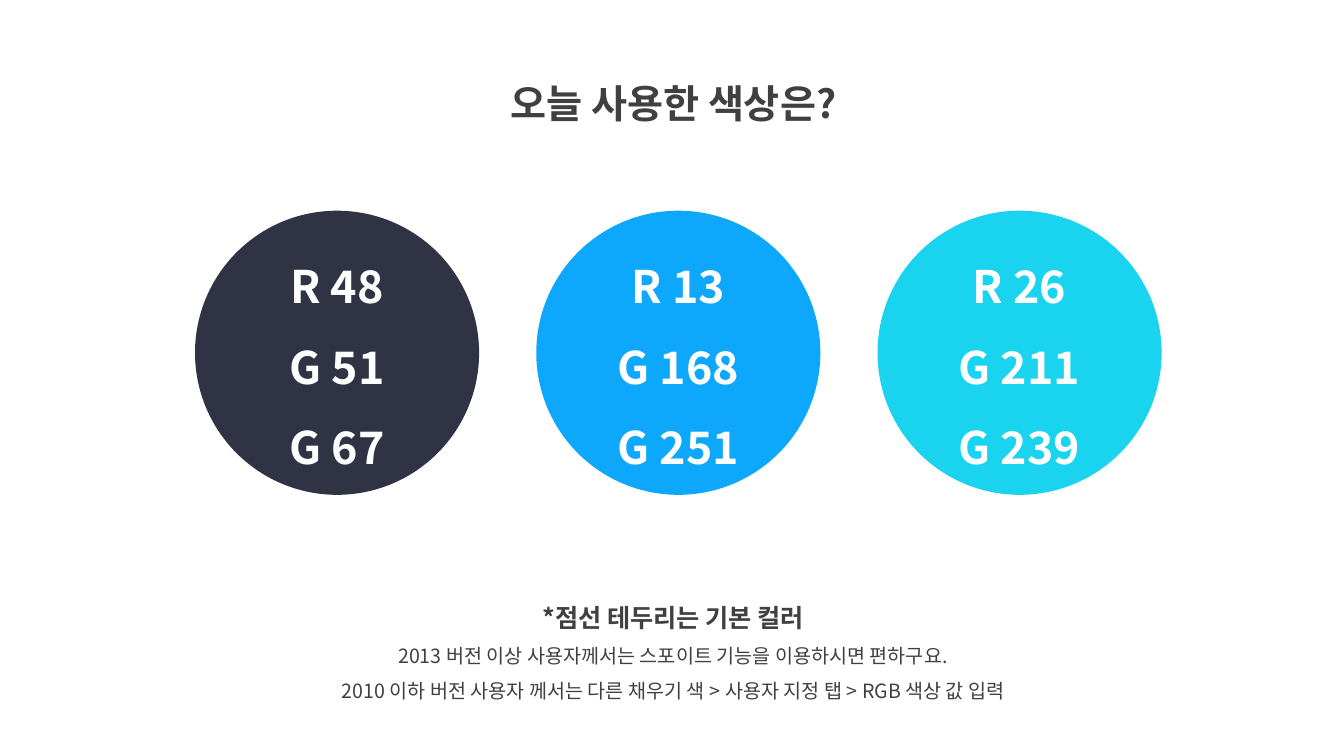
"""Builds a slide that shows the three colours used today."""
from lxml.etree import SubElement
from pptx import Presentation
from pptx.dml.color import RGBColor as Rgb
from pptx.enum.shapes import MSO_SHAPE as Kind
from pptx.enum.text import MSO_ANCHOR as Anchor, PP_ALIGN as Align
from pptx.oxml.ns import qn
from pptx.util import Cm, Pt

TITLE = ["오늘 사용한 색상은?"]
NOTES = [
    "*점선 테두리는 기본 컬러",
    "2013 버전 이상 사용자께서는 스포이트 기능을 이용하시면 편하구요.",
    "2010 이하 버전 사용자 께서는 다른 채우기 색 > 사용자 지정 탭 > RGB 색상 값 입력",
]
COLORS = [(48, 51, 67), (13, 168, 251), (26, 211, 239)]
LABELS = "RGG"

THEME = {
    "face": "Noto Sans CJK KR",
    "ink": Rgb(64, 64, 64),
    "white": Rgb(255, 255, 255),
    "title": {"size": Pt(28), "bold": True},
    "head": {"size": Pt(18), "bold": True},
    "body": {"size": Pt(14), "bold": False},
    "value": {"size": Pt(32), "bold": True},
}
WIDTH, HEIGHT = 33.87, 19.05
SIZE, STEP, TOP = 7.16, 8.6, 5.31
SHIFT = 0.03


def write(frame, lines, styles, color):
    frame.word_wrap = True
    for i, (line, style) in enumerate(zip(lines, styles)):
        para = frame.paragraphs[0] if i == 0 else frame.add_paragraph()
        para.alignment, para.line_spacing = Align.CENTER, 1.5
        run = para.add_run()
        run.text = line
        run.font.color.rgb = color
        for key, value in {"name": THEME["face"], **THEME[style]}.items():
            setattr(run.font, key, value)
        SubElement(run.font._element, qn("a:ea"), typeface=THEME["face"])


def add_text(slide, top, width, height, lines, styles):
    left = (WIDTH - width) / 2 + SHIFT
    box = slide.shapes.add_textbox(Cm(left), Cm(top), Cm(width), Cm(height))
    write(box.text_frame, lines, styles, THEME["ink"])


def add_disc(slide, mid, rgb):
    disc = slide.shapes.add_shape(
        Kind.OVAL, Cm(mid - SIZE / 2), Cm(TOP), Cm(SIZE), Cm(SIZE))
    disc.shadow.inherit = False
    disc.fill.solid()
    disc.fill.fore_color.rgb = Rgb(*rgb)
    disc.line.fill.background()
    disc.text_frame.vertical_anchor = Anchor.MIDDLE
    lines = [f"{label} {value}" for label, value in zip(LABELS, rgb)]
    write(disc.text_frame, lines, ["value"] * len(lines), THEME["white"])


def main():
    deck = Presentation()
    deck.slide_width, deck.slide_height = Cm(WIDTH), Cm(HEIGHT)
    slide = deck.slides.add_slide(deck.slide_layouts[6])
    add_text(slide, 1.27, 11.76, 1.83, TITLE, ["title"])
    add_text(slide, 14.66, 20.3, 3.2, NOTES, ["head", "body", "body"])
    for i, rgb in enumerate(COLORS):
        shift = (i - (len(COLORS) - 1) / 2) * STEP
        add_disc(slide, WIDTH / 2 + SHIFT + shift + 0.13, rgb)
    deck.save("out.pptx")


if __name__ == "__main__":
    main()
